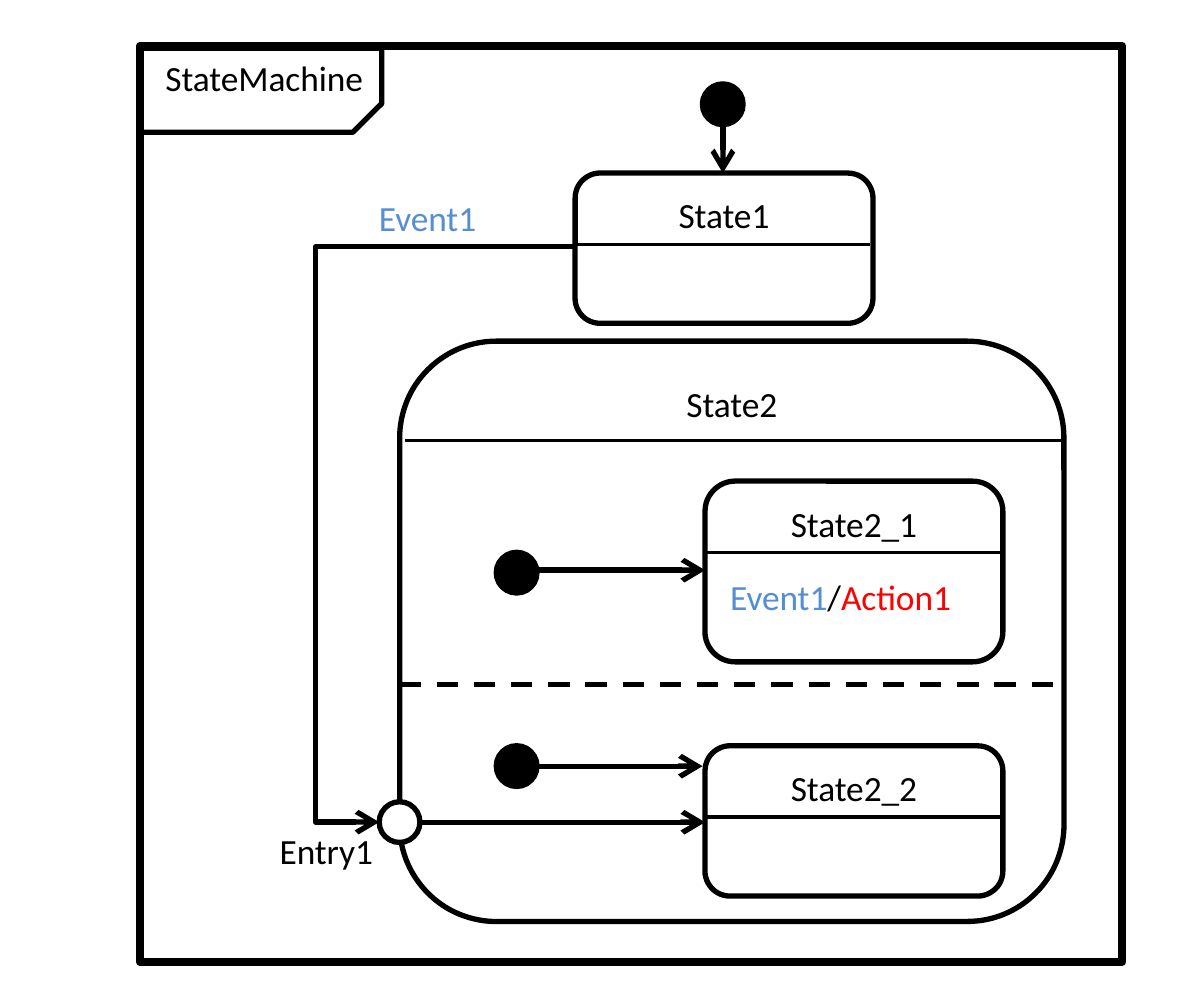
import pptx
import pptx.util
import pptx.dml.color
import pptx.enum.dml
import pptx.enum.shapes
import pptx.enum.text
from pptx.oxml.ns import qn
from lxml import etree

Inches, Pt = pptx.util.Inches, pptx.util.Pt
SHAPES = pptx.enum.shapes.MSO_SHAPE
CONNECTORS = pptx.enum.shapes.MSO_CONNECTOR
ALIGN = pptx.enum.text.PP_ALIGN

# Content: positions and sizes in inches
COLORS = {"ink": "000000", "paper": "FFFFFF", "event": "558ED5", "action": "FF0000"}
FONT, FONT_SIZE = "Calibri", 10
LINE, THIN, THICK = 1.5, 1, 2.25
DOT = 0.16

TITLE = ("StateMachine", (0.55, 0.17, 1.13, 0.27))
FRAME = (0.55, 0.18, 3.86, 3.6)
TITLE_TAB = (0.55, 0.19, 0.95, 0.33)
TAB_CUT = 0.343

# name, box, divider: left, right, y
STATES = [
    ("State1", (2.26, 0.68, 1.17, 0.59), (2.26, 3.42, 0.96)),
    ("State2", (1.57, 1.34, 2.61, 2.28), (1.59, 4.17, 1.73)),
    ("State2_1", (2.77, 1.89, 1.17, 0.71), (2.77, 3.93, 2.17)),
    ("State2_2", (2.77, 2.93, 1.17, 0.59), (2.77, 3.93, 3.21)),
]
REGION_DIVIDER = ((1.57, 2.69), (4.17, 2.69))
ARROWS = [
    ((2.84, 0.48), (2.84, 0.68)),
    ((2.1, 2.24), (2.77, 2.24)),
    ((2.1, 3.01), (2.76, 3.01)),
    ((1.65, 3.23), (2.77, 3.23)),
]
EVENT_START, EVENT_END, EVENT_TURN_X = (2.26, 0.97), (1.49, 3.23), 1.24
# left, top, fill
MARKERS = [
    (2.76, 0.33, "ink"),
    (1.95, 2.17, "ink"),
    (1.95, 2.93, "ink"),
    (1.49, 3.15, "paper"),
]
LABELS = [
    ((1.39, 0.72, 0.95, 0.27), [("Event1", "event")]),
    ((1, 3.21, 0.68, 0.27), [("Entry1", "ink")]),
    ((2.77, 2.21, 1.08, 0.27), [("Event1", "event"), ("/", "ink"), ("Action1", "action")]),
]


def rgb(name):
    return pptx.dml.color.RGBColor.from_string(COLORS[name])


def write(shape, spans, align):
    frame = shape.text_frame
    frame.word_wrap = True
    frame.auto_size = pptx.enum.text.MSO_AUTO_SIZE.NONE
    frame.vertical_anchor = pptx.enum.text.MSO_ANCHOR.TOP
    frame.margin_left = frame.margin_right = Inches(0.1)
    frame.margin_top = frame.margin_bottom = Inches(0.05)
    para = frame.paragraphs[0]
    para.alignment = align
    para.font.name, para.font.size = FONT, Pt(FONT_SIZE)
    for text, color in spans:
        span = para.add_run()
        span.text = text
        span.font.color.rgb = rgb(color)


def add_outline(kind, box, width=LINE, fill=None):
    shape = page.shapes.add_shape(kind, *map(Inches, box))
    shape.shadow.inherit = False
    if fill:
        shape.fill.solid()
        shape.fill.fore_color.rgb = rgb(fill)
    else:
        shape.fill.background()
    shape.line.color.rgb = rgb("ink")
    shape.line.width = Pt(width)
    return shape


def add_line(start, end, width=LINE, arrow=False, kind=CONNECTORS.STRAIGHT):
    line = page.shapes.add_connector(kind, *map(Inches, start + end))
    line.line.color.rgb = rgb("ink")
    line.line.width = Pt(width)
    if arrow:
        etree.SubElement(line.line._get_or_add_ln(), qn("a:tailEnd"), type="arrow")
    etree.SubElement(line._element.spPr, qn("a:effectLst"))
    return line


deck = pptx.Presentation()
deck.slide_width, deck.slide_height = Inches(4.73), Inches(3.94)
page = deck.slides.add_slide(deck.slide_layouts[5])

# Frame with its title tab
add_outline(SHAPES.RECTANGLE, FRAME, THICK)
tab = add_outline(SHAPES.SNIP_1_RECTANGLE, TITLE_TAB)
tab.adjustments[0] = TAB_CUT
tab._element.spPr.find(qn("a:xfrm")).set("flipV", "1")
title_text, title_box = TITLE
title = page.shapes.title
title.left, title.top, title.width, title.height = map(Inches, title_box)
write(title, [(title_text, "ink")], ALIGN.LEFT)

# States
for name, box, (left, right, y) in STATES:
    state = add_outline(SHAPES.ROUNDED_RECTANGLE, box)
    write(state, [(name, "ink")], ALIGN.CENTER)
    add_line((left, y), (right, y), THIN)
region = add_line(*REGION_DIVIDER)
region.line.dash_style = pptx.enum.dml.MSO_LINE.DASH

# Transitions
for start, end in ARROWS:
    add_line(start, end, arrow=True)
event = add_line(EVENT_START, EVENT_END, arrow=True, kind=CONNECTORS.ELBOW)
turn = (EVENT_START[0] - EVENT_TURN_X) / (EVENT_START[0] - EVENT_END[0])
guides = event._element.spPr.find(qn("a:prstGeom")).find(qn("a:avLst"))
etree.SubElement(guides, qn("a:gd"), name="adj1", fmla=f"val {round(turn * 100000)}")

# Initial states and entry point
for left, top, fill in MARKERS:
    add_outline(SHAPES.FLOWCHART_CONNECTOR, (left, top, DOT, DOT), fill=fill)

# Labels
for box, spans in LABELS:
    write(page.shapes.add_textbox(*map(Inches, box)), spans, ALIGN.LEFT)

deck.save("out.pptx")
